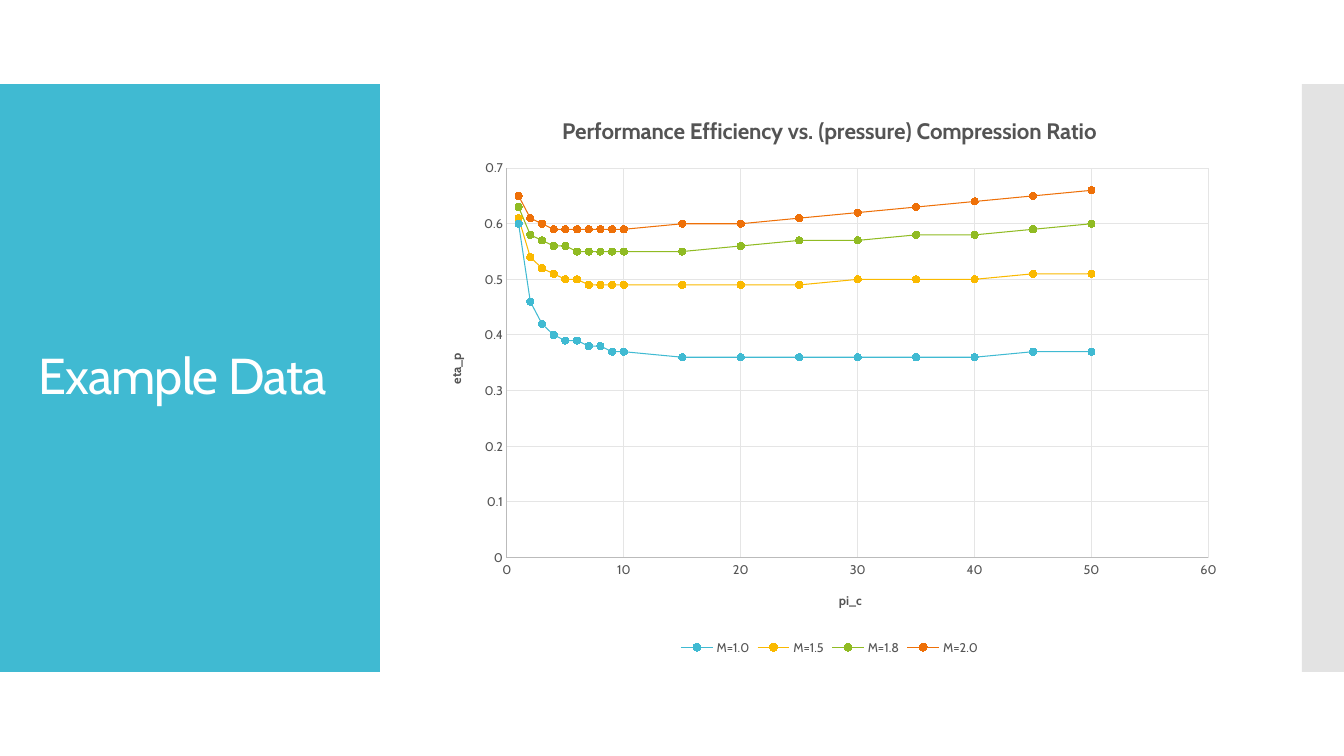
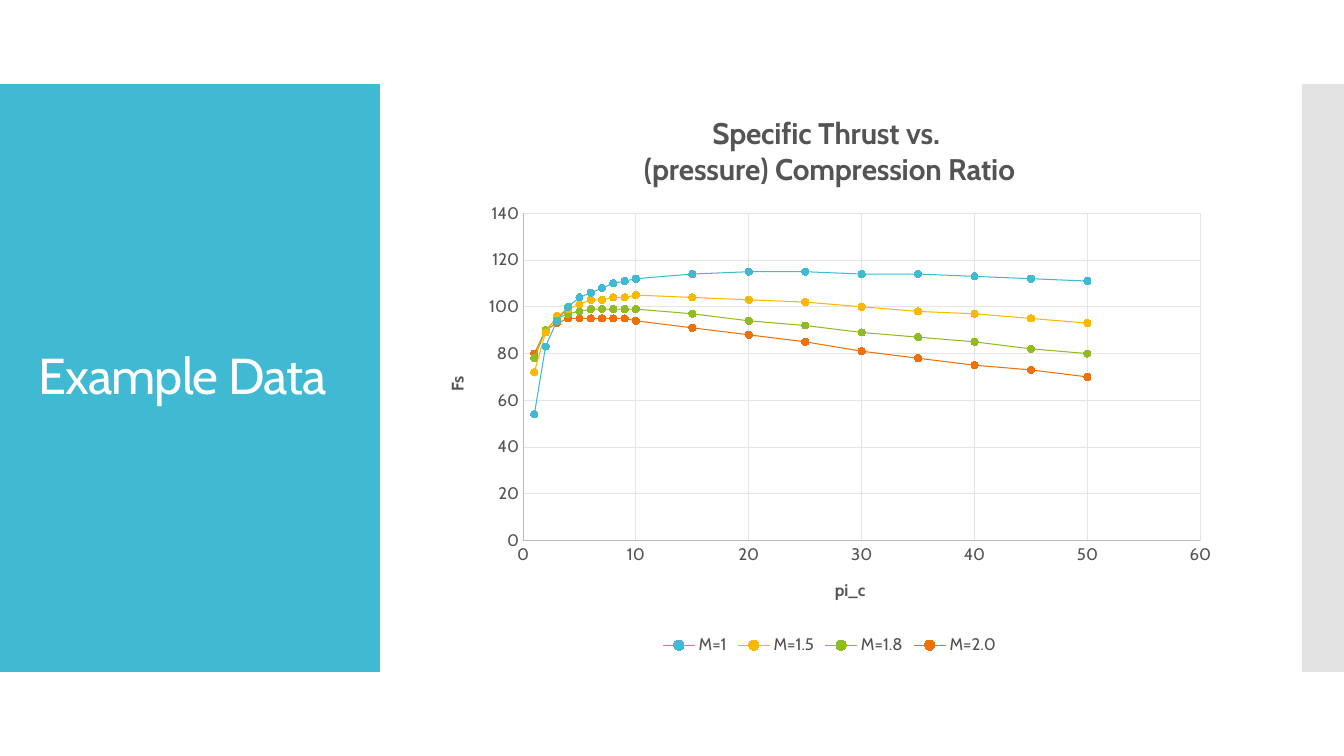
from dataclasses import dataclass

from lxml import etree
from pptx import Presentation
from pptx.chart.data import XyChartData
from pptx.dml.color import RGBColor
from pptx.enum.chart import XL_CHART_TYPE as ChartType
from pptx.enum.chart import XL_LEGEND_POSITION as LegendPosition
from pptx.enum.chart import XL_MARKER_STYLE as MarkerStyle
from pptx.enum.chart import XL_TICK_MARK as TickMark
from pptx.enum.shapes import MSO_SHAPE as Shape
from pptx.enum.text import MSO_ANCHOR as Anchor
from pptx.enum.text import MSO_AUTO_SIZE as AutoSize
from pptx.enum.text import PP_ALIGN as Align
from pptx.oxml.ns import qn
from pptx.util import Pt

FONT = "Cabin"
WHITE, TEAL, GREY = "FFFFFF", "40BAD2", "C8C8C8"
CHART_TEXT, AXIS_LINE, GRID_LINE = "545454", "BBBBBB", "E5E5E5"
SERIES_COLORS = [TEAL, "FAB900", "90BB23", "EE7008"]

SLIDE_W, SLIDE_H = 960, 540
BAND_TOP, BAND_H = 60, 420
TITLE_BAND = (0, BAND_TOP, 271.3, BAND_H)
EDGE_BAND = (SLIDE_W - 30, BAND_TOP, 30, BAND_H)
CHART_BOX = (304.5, 67.7, 576, 403.2)

COMPRESSION_RATIOS = [*range(1, 11), *range(15, 51, 5)]


@dataclass
class Plot:
    title: str
    title_size: float
    text_size: float
    y_name: str
    y_max: float
    y_step: float
    area: tuple  # x, y, width, height as shares of the chart
    curves: dict


EFFICIENCY = Plot(
    "Performance Efficiency vs. (pressure) Compression Ratio", 16, 9,
    "eta_p", 0.7, 0.1, (0.1, 0.13, 0.87, 0.69),
    {
        "M=1.0": [0.6, 0.46, 0.42, 0.4, 0.39, 0.39, 0.38, 0.38, 0.37,
                  0.37, 0.36, 0.36, 0.36, 0.36, 0.36, 0.36, 0.37, 0.37],
        "M=1.5": [0.61, 0.54, 0.52, 0.51, 0.5, 0.5, 0.49, 0.49, 0.49,
                  0.49, 0.49, 0.49, 0.49, 0.5, 0.5, 0.5, 0.51, 0.51],
        "M=1.8": [0.63, 0.58, 0.57, 0.56, 0.56, 0.55, 0.55, 0.55, 0.55,
                  0.55, 0.55, 0.56, 0.57, 0.57, 0.58, 0.58, 0.59, 0.6],
        "M=2.0": [0.65, 0.61, 0.6, 0.59, 0.59, 0.59, 0.59, 0.59, 0.59,
                  0.59, 0.6, 0.6, 0.61, 0.62, 0.63, 0.64, 0.65, 0.66],
    })
THRUST = Plot(
    "Specific Thrust vs. \n(pressure) Compression Ratio", 21.3, 12,
    "Fs", 140, 20, (0.12, 0.21, 0.84, 0.58),
    {
        "M=1": [54, 83, 94, 100, 104, 106, 108, 110, 111,
                112, 114, 115, 115, 114, 114, 113, 112, 111],
        "M=1.5": [72, 89, 96, 99, 101, 103, 103, 104, 104,
                  105, 104, 103, 102, 100, 98, 97, 95, 93],
        "M=1.8": [78, 90, 95, 97, 98, 99, 99, 99, 99,
                  99, 97, 94, 92, 89, 87, 85, 82, 80],
        "M=2.0": [80, 90, 93, 95, 95, 95, 95, 95, 95,
                  94, 91, 88, 85, 81, 78, 75, 73, 70],
    })


def rgb(color):
    return RGBColor.from_string(color)


def style_font(font, size, color, bold=False):
    font.name, font.size, font.bold = FONT, Pt(size), bold
    font.color.rgb = rgb(color)


def write(frame, text, size, color, bold=False, align=Align.CENTER,
          line_spacing=None, tracking=None):
    for index, line in enumerate(text.split("\n")):
        paragraph = frame.add_paragraph() if index else frame.paragraphs[0]
        paragraph.alignment = align
        paragraph.line_spacing = line_spacing
        run = paragraph.add_run()
        run.text = line
        style_font(run.font, size, color, bold)
        if tracking is not None:
            run.font._element.set("spc", str(round(tracking * 100)))


def add_band(slide, box, color, opacity=None):
    band = slide.shapes.add_shape(Shape.RECTANGLE, *map(Pt, box))
    band.shadow.inherit = False
    band.line.fill.background()
    band.fill.solid()
    band.fill.fore_color.rgb = rgb(color)
    if opacity is not None:
        fill_color = band._element.spPr.find(".//" + qn("a:srgbClr"))
        alpha = etree.SubElement(fill_color, qn("a:alpha"))
        alpha.set("val", str(opacity * 1000))


def add_title_panel(slide, box, text):
    add_band(slide, box, TEAL)
    left, top, width, height = box
    title = slide.shapes.title
    title.left, title.top = Pt(left + 20), Pt(top + 29)
    title.width, title.height = Pt(width - 39.3), Pt(height - 58)
    frame = title.text_frame
    frame.word_wrap = True
    frame.auto_size = AutoSize.NONE
    frame.vertical_anchor = Anchor.MIDDLE
    write(frame, text, 36, WHITE, align=Align.LEFT, line_spacing=0.9,
          tracking=-0.6)
    # Bring the title in front of its band
    slide.shapes._spTree.append(title._element)


def style_line(line, color):
    line.color.rgb = rgb(color)
    line.width = Pt(0.75)


def style_axis(axis, name, maximum, step, text_size):
    axis.minimum_scale, axis.maximum_scale = 0, maximum
    axis.major_unit = step
    axis.major_tick_mark = axis.minor_tick_mark = TickMark.NONE
    axis.has_major_gridlines = True
    style_line(axis.major_gridlines.format.line, GRID_LINE)
    style_line(axis.format.line, AXIS_LINE)
    style_font(axis.tick_labels.font, text_size, CHART_TEXT)
    axis.tick_labels.number_format = "General"
    axis.tick_labels.number_format_is_linked = False
    write(axis.axis_title.text_frame, name, text_size, CHART_TEXT, bold=True)


def set_plot_area(chart, area):
    plot_area = chart._chartSpace.find(".//" + qn("c:plotArea"))
    layout = plot_area.find(qn("c:layout"))
    if layout is None:
        layout = etree.Element(qn("c:layout"))
        plot_area.insert(0, layout)
    manual = etree.SubElement(layout, qn("c:manualLayout"))
    settings = [("layoutTarget", "inner"), ("xMode", "edge"),
                ("yMode", "edge"), *zip("xywh", area)]
    for tag, value in settings:
        etree.SubElement(manual, qn("c:" + tag)).set("val", str(value))


def add_curves(slide, box, plot):
    data = XyChartData()
    for name, values in plot.curves.items():
        curve = data.add_series(name)
        for ratio, value in zip(COMPRESSION_RATIOS, values):
            curve.add_data_point(ratio, value)
    chart = slide.shapes.add_chart(
        ChartType.XY_SCATTER_SMOOTH, *map(Pt, box), data).chart
    style_font(chart.font, 10, CHART_TEXT)
    chart.has_title = True
    write(chart.chart_title.text_frame, plot.title, plot.title_size,
          CHART_TEXT, bold=True)
    chart.chart_title.include_in_layout = False

    style_axis(chart.category_axis, "pi_c", 60, 10, plot.text_size)
    style_axis(chart.value_axis, plot.y_name, plot.y_max, plot.y_step,
               plot.text_size)
    set_plot_area(chart, plot.area)

    chart.has_legend = True
    chart.legend.position = LegendPosition.BOTTOM
    chart.legend.include_in_layout = False
    style_font(chart.legend.font, plot.text_size, CHART_TEXT)

    chart.plots[0].vary_by_categories = False
    for series, color in zip(chart.plots[0].series, SERIES_COLORS):
        series.smooth = True
        style_line(series.format.line, color)
        marker = series.marker
        marker.style, marker.size = MarkerStyle.CIRCLE, 5
        marker.format.fill.solid()
        marker.format.fill.fore_color.rgb = rgb(color)
        style_line(marker.format.line, color)


def add_data_slide(deck, plot):
    slide = deck.slides.add_slide(deck.slide_layouts[5])
    add_title_panel(slide, TITLE_BAND, "Example Data")
    add_band(slide, EDGE_BAND, GREY, opacity=50)
    add_curves(slide, CHART_BOX, plot)


def main():
    deck = Presentation()
    deck.slide_width, deck.slide_height = Pt(SLIDE_W), Pt(SLIDE_H)
    for plot in (EFFICIENCY, THRUST):
        add_data_slide(deck, plot)
    deck.save("out.pptx")


if __name__ == "__main__":
    main()
